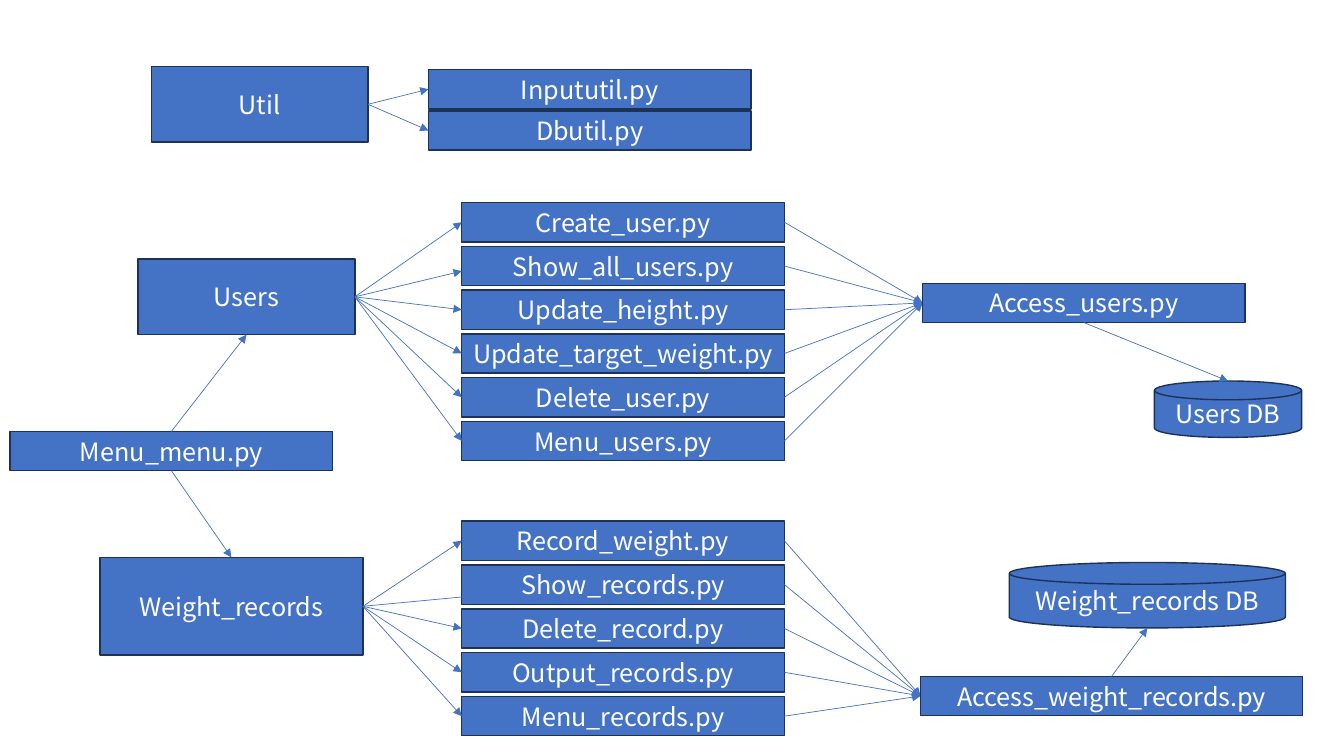
import dataclasses

import lxml.etree
import pptx
import pptx.dml.color
import pptx.enum.shapes
import pptx.enum.text
import pptx.oxml.ns
import pptx.util

Inches = pptx.util.Inches
KIND = pptx.enum.shapes.MSO_SHAPE
FONT = "Noto Sans CJK JP"
COLORS = {"fill": "4472C4", "edge": "1E3256", "arrow": "4472C4", "text": "FFFFFF"}
FILE_W, FILE_H = 3.2, 0.39


@dataclasses.dataclass(frozen=True)
class Box:
    text: str
    left: float
    top: float
    width: float = FILE_W
    height: float = FILE_H
    kind: KIND = KIND.RECTANGLE

    def point(self, side: str) -> tuple[float, float]:
        """Return the middle of the named side."""
        across, down = {
            "top": (0.5, 0), "left": (0, 0.5), "bottom": (0.5, 1), "right": (1, 0.5)
        }[side]
        return self.left + across * self.width, self.top + down * self.height


@dataclasses.dataclass(frozen=True)
class Group:
    """A folder and its files, evenly spaced between the first and last top."""
    folder: Box
    names: tuple[str, ...]
    left: float
    first: float
    last: float
    access: Box | None = None

    def files(self) -> list[Box]:
        step = (self.last - self.first) / (len(self.names) - 1)
        return [Box(name, self.left, self.first + row * step)
                for row, name in enumerate(self.names)]


MENU = Box("Menu_menu.py", 0.1, 4.28)
UTIL = Box("Util", 1.5, 0.66, 2.15, 0.75)
USERS = Box("Users", 1.37, 2.57, 2.15, 0.75)
RECORDS = Box("Weight_records", 0.99, 5.53, 2.61, 0.97)
USER_ACCESS = Box("Access_users.py", 9.15, 2.81)
RECORD_ACCESS = Box("Access_weight_records.py", 9.13, 6.71, 3.79)
USER_DB = Box("Users DB", 11.45, 3.78, 1.46, 0.56, KIND.FLOWCHART_MAGNETIC_DISK)
RECORD_DB = Box("Weight_records DB", 10.01, 5.58, 2.74, 0.65, KIND.FLOWCHART_MAGNETIC_DISK)

GROUPS = (
    Group(UTIL, ("Inpututil.py", "Dbutil.py"), 4.25, 0.69, 1.1),
    Group(USERS, ("Create_user.py", "Show_all_users.py", "Update_height.py",
                  "Update_target_weight.py", "Delete_user.py", "Menu_users.py"),
          4.58, 2.01, 4.18, USER_ACCESS),
    Group(RECORDS, ("Record_weight.py", "Show_records.py", "Delete_record.py",
                    "Output_records.py", "Menu_records.py"),
          4.58, 5.17, 6.91, RECORD_ACCESS),
)
# Arrows that end away from the middle of the file's left side
ENDS = {"Show_all_users.py": (4.58, 2.69), "Show_records.py": (5.14, 5.87)}
LINKS = (
    (MENU, "top", USERS, "bottom"),
    (MENU, "bottom", RECORDS, "top"),
    (USER_ACCESS, "bottom", USER_DB, "top"),
    (RECORD_ACCESS, "top", RECORD_DB, "bottom"),
)


def color(name: str) -> pptx.dml.color.RGBColor:
    return pptx.dml.color.RGBColor.from_string(COLORS[name])


def write(frame, text: str, *, size: float = 18, font: str = FONT, tone: str = "text",
          align=pptx.enum.text.PP_ALIGN.CENTER) -> None:
    frame.word_wrap = False
    frame.vertical_anchor = pptx.enum.text.MSO_ANCHOR.MIDDLE
    line = frame.paragraphs[0]
    line.alignment = align
    run = line.add_run()
    run.text = text
    run.font.size = pptx.util.Pt(size)
    run.font.name = font
    run.font.color.rgb = color(tone)


def draw_box(slide, box: Box) -> None:
    shape = slide.shapes.add_shape(
        box.kind, Inches(box.left), Inches(box.top), Inches(box.width), Inches(box.height))
    shape.shadow.inherit = False
    shape.fill.solid()
    shape.fill.fore_color.rgb = color("fill")
    shape.line.color.rgb = color("edge")
    shape.line.width = pptx.util.Pt(1)
    write(shape.text_frame, box.text)


def draw_arrow(slide, start: tuple[float, float], end: tuple[float, float]) -> None:
    arrow = slide.shapes.add_connector(
        pptx.enum.shapes.MSO_CONNECTOR.STRAIGHT, *map(Inches, start + end))
    arrow.line.color.rgb = color("arrow")
    arrow.line.width = pptx.util.Pt(0.5)
    qn = pptx.oxml.ns.qn
    props = arrow.element.spPr
    lxml.etree.SubElement(props.find(qn("a:ln")), qn("a:tailEnd"), type="triangle")
    lxml.etree.SubElement(props, qn("a:effectLst"))


def draw_group(slide, group: Group) -> None:
    draw_box(slide, group.folder)
    for file in group.files():
        draw_box(slide, file)
        draw_arrow(slide, group.folder.point("right"),
                   ENDS.get(file.text, file.point("left")))
        if group.access:
            draw_arrow(slide, file.point("right"), group.access.point("left"))


def main() -> None:
    deck = pptx.Presentation()
    deck.slide_width, deck.slide_height = Inches(13.33), Inches(7.5)
    slide = deck.slides.add_slide(deck.slide_layouts[6])
    for group in GROUPS:
        draw_group(slide, group)
    for box in (MENU, USER_ACCESS, RECORD_ACCESS, USER_DB, RECORD_DB):
        draw_box(slide, box)
    for source, out, target, side in LINKS:
        draw_arrow(slide, source.point(out), target.point(side))
    deck.save("out.pptx")


if __name__ == "__main__":
    main()
